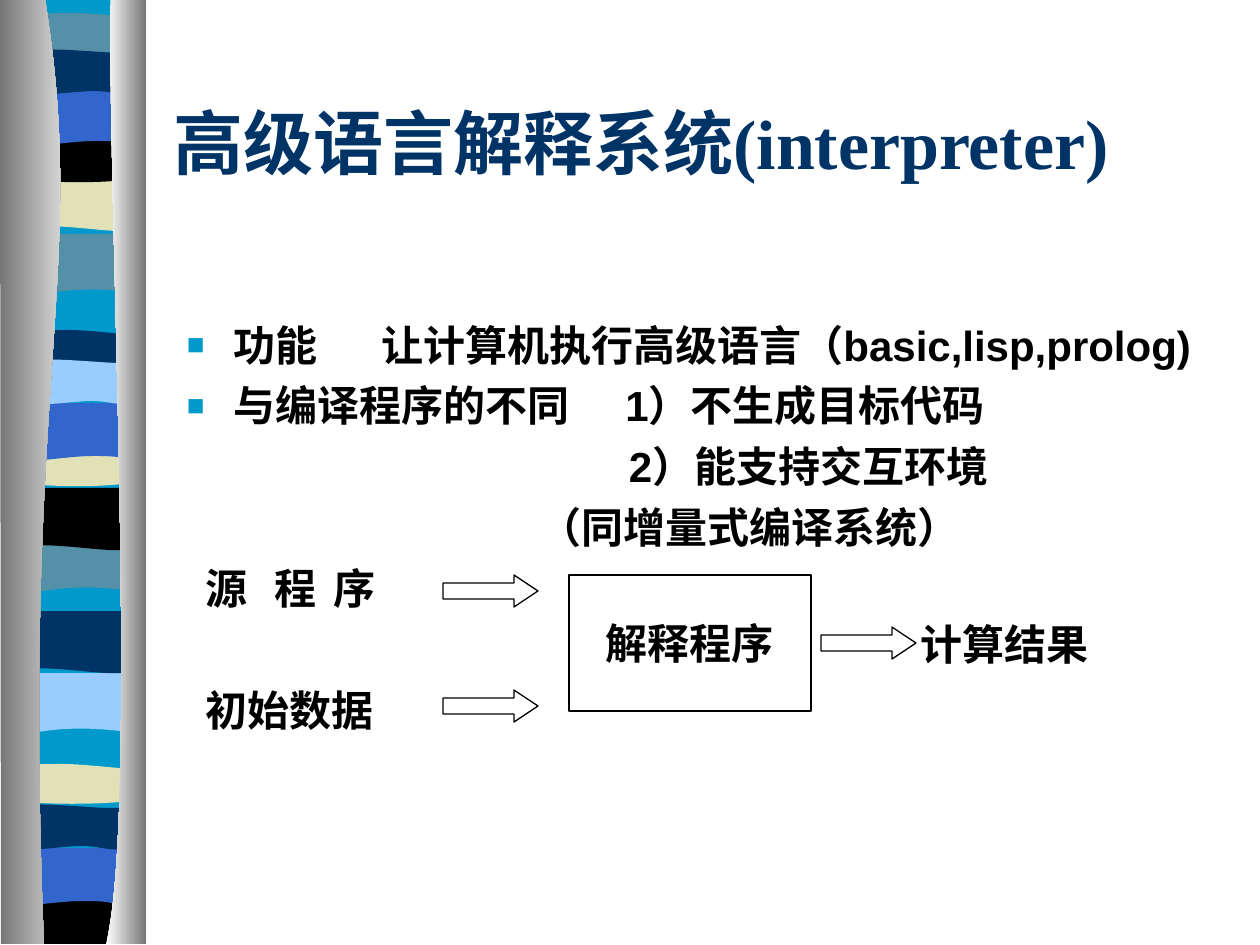
from dataclasses import dataclass

from lxml import etree
from pptx import Presentation
from pptx.dml.color import RGBColor
from pptx.enum.shapes import MSO_SHAPE
from pptx.enum.text import MSO_ANCHOR, PP_ALIGN
from pptx.oxml.ns import qn
from pptx.util import Emu, Pt

RECT, ARROW = MSO_SHAPE.RECTANGLE, MSO_SHAPE.RIGHT_ARROW
TOP, MIDDLE = MSO_ANCHOR.TOP, MSO_ANCHOR.MIDDLE
LEFT, CENTER = PP_ALIGN.LEFT, PP_ALIGN.CENTER
SCALE = 914400 / 126
SPACE = 12


@dataclass(frozen=True)
class Theme:
    """Colours, fonts and type sizes of the slide."""
    navy: str = "003366"
    sky: str = "0099CC"
    teal: str = "5490A8"
    cream: str = "E1E1B7"
    blue: str = "3366CC"
    pale: str = "99CCFF"
    black: str = "000000"
    white: str = "FFFFFF"
    grey: str = "767676"
    serif: str = "Times New Roman"
    sans: str = "Arial"
    title: int = 40
    body: int = 24


T = Theme()

FLAT = ((0, 0), (122, 0))
SWELL = ((0, 0), (76, 6), (97, 0), (122, 0))
PROFILES = {
    "dip": (FLAT, ((122, 59), (38, 48), (20, 68), (0, 59))),
    "roll": (FLAT, ((122, 59), (102, 69), (43, 52), (0, 59))),
    "lens": (((0, 5), (9, 0), (32, 0), (53, 0), (73, 0), (112, 5), (122, 5)),
             ((122, 36), (102, 41), (20, 41), (0, 36))),
    "swell": (SWELL, ((122, 41), (102, 48), (20, 48), (0, 41))),
    "arch": (FLAT, ((122, 59), (103, 53), (95, 53), (76, 53),
                    (56, 53), (19, 59), (0, 59))),
    "crest": (((0, 8), (18, 0), (83, 8), (103, 8), (124, 8), (118, 8), (122, 8)),
              ((122, 46), (114, 54), (95, 46), (76, 46),
               (56, 46), (12, 54), (0, 46))),
    "foot": (SWELL, ((122, 47), (0, 47))),
}
BANDS = (
    (18, 234, "dip", T.teal), (23, 169, "roll", T.cream),
    (23, 13, "lens", T.teal), (18, 136, "swell", T.black),
    (18, 88, "arch", T.blue), (18, 45, "crest", T.navy),
    (11, 532, "dip", T.teal), (16, 488, "roll", T.black),
    (16, 330, "lens", T.navy), (16, 440, "swell", T.cream),
    (16, 403, "arch", T.blue), (16, 355, "crest", T.pale),
    (6, 673, "dip", T.pale), (13, 611, "roll", T.navy),
    (11, 764, "lens", T.cream), (11, 897, "foot", T.black),
    (5, 848, "arch", T.blue), (6, 800, "crest", T.navy),
)
LEFT_CURTAIN = (((45, -1), (89, 272), (21, 373), (44, 944)), ((1, 944), (0, -1)))
RIGHT_CURTAIN = (((111, -1), (106, 158), (140, 814), (106, 944)),
                 ((146, 944), (146, -1)))


def px(n):
    """Turn px into EMU."""
    return Emu(round(n * SCALE))


def rgb(color):
    """Turn a hex string into a colour."""
    return RGBColor.from_string(color)


def add_outline(s, edges, x, y, *colors):
    """Add an outline of straight two-point and cubic edges, plain or gradient."""
    pts = [(px(x + a), px(y + b)) for edge in edges for a, b in edge]
    fb = s.shapes.build_freeform(*pts[0], scale=1.0)
    fb.add_line_segments(pts[1:], close=True)
    sp = fb.convert_to_shape()
    lines = list(sp._element.iter(qn("a:lnTo")))
    start = 0
    for edge in edges:
        for i in range(start, start + len(edge) - 1, 3) if len(edge) > 2 else ():
            lines[i].tag = qn("a:cubicBezTo")
            for ln in lines[i + 1:i + 3]:
                lines[i].append(ln[0])
                ln.getparent().remove(ln)
        start += len(edge)
    sp.shadow.inherit = False
    sp.line.fill.background()
    if len(colors) == 1:
        sp.fill.solid()
        sp.fill.fore_color.rgb = rgb(colors[0])
        return
    sp.fill.gradient()
    sp.fill.gradient_angle = 0
    for stop, color in zip(sp.fill.gradient_stops, colors):
        stop.color.rgb = rgb(color)


def add_shape(s, kind, x, y, w, h, line=T.black):
    """Add a white preset shape with a thin outline."""
    sp = s.shapes.add_shape(kind, px(x), px(y), px(w), px(h))
    sp.shadow.inherit = False
    sp.fill.solid()
    sp.fill.fore_color.rgb = rgb(T.white)
    sp.line.color.rgb = rgb(line)
    sp.line.width = Pt(0.75)
    return sp


def add_box(s, x, y, w, h, anchor=TOP):
    """Add a wrapping text box without insets and return its frame."""
    tf = s.shapes.add_textbox(px(x), px(y), px(w), px(h)).text_frame
    tf.word_wrap = True
    tf.vertical_anchor = anchor
    tf.margin_left = tf.margin_right = tf.margin_top = tf.margin_bottom = 0
    return tf


def add_text(tf, *parts, font=T.sans, size=T.body, color=T.black, align=LEFT,
             indent=0, before=0, bullet=False):
    """Write one bold paragraph; a number among the parts is a gap in px."""
    p = tf.paragraphs[0] if not tf.paragraphs[0].runs else tf.add_paragraph()
    p.alignment = align
    p.space_before = Pt(before)
    pPr = p._p.get_or_add_pPr()
    pPr.set("marL", str(px(indent)))
    pPr.set("indent", str(-px(indent) if bullet else 0))
    if bullet:
        clr = etree.SubElement(pPr, qn("a:buClr"))
        etree.SubElement(clr, qn("a:srgbClr"), val=T.sky)
        etree.SubElement(pPr, qn("a:buSzPct"), val="70000")
        etree.SubElement(pPr, qn("a:buFont"), typeface=T.sans)
        etree.SubElement(pPr, qn("a:buChar"), char="■")
    for part in parts:
        r = p.add_run()
        r.font.name, r.font.size, r.font.bold = font, Pt(size), True
        r.font.color.rgb = rgb(color)
        if isinstance(part, str):
            r.text = part
        else:
            r.text = " "
            spacing = round(px(part - SPACE).pt * 100)
            r._r.get_or_add_rPr().set("spc", str(spacing))


def add_ribbon(s, x, y):
    """Draw the striped ribbon between its two shaded curtains."""
    add_outline(s, (((18, -1), (140, -1)), ((140, 940), (18, 940))), x, y, T.sky)
    for left, top, profile, color in BANDS:
        add_outline(s, PROFILES[profile], x + left, y + top, color)
    add_outline(s, LEFT_CURTAIN, x, y, T.grey, T.white)
    add_outline(s, RIGHT_CURTAIN, x, y, T.white, T.grey)


def add_title(s, x, y, w, h):
    """Write the slide title."""
    tf = add_box(s, x, y, w, h, anchor=MIDDLE)
    add_text(tf, "高级语言解释系统(interpreter)", font=T.serif, size=T.title, color=T.navy)


def add_body(s, x, y, w, h):
    """Write the two topics with their details and the names of the inputs."""
    tf = add_box(s, x, y, w, h)
    for parts in (("功能", 66, "让计算机执行高级语言（basic,lisp,prolog)"),
                  ("与编译程序的不同", 58, "1）不生成目标代码")):
        add_text(tf, *parts, indent=47, before=6, bullet=True)
    for parts, indent, before in ((("2）能支持交互环境",), 442, 6),
                                  (("（同增量式编译系统）",), 353, 6),
                                  (("源", 29, "程", 19, "序"), 19, 6),
                                  (("初始数据",), 19, 41)):
        add_text(tf, *parts, indent=indent, before=before)


def add_flow(s, x, y):
    """Draw the interpreter, its result and the arrows between."""
    for text, left, top, w, h, line in (
            ("解释程序", 126, 0, 242, 136, T.black),
            ("计算结果", 483, 42, 158, 53, T.white)):
        tf = add_shape(s, RECT, x + left, y + top, w, h, line=line).text_frame
        tf.word_wrap = False
        tf.vertical_anchor = MIDDLE
        add_text(tf, text, font=T.serif, align=CENTER)
    for left, top in ((0, 0), (0, 115), (378, 52)):
        sp = add_shape(s, ARROW, x + left, y + top, 95, 32)
        sp.adjustments[0], sp.adjustments[1] = 0.5, 0.75


def main():
    """Build and save the slide."""
    prs = Presentation()
    prs.slide_width, prs.slide_height = px(1260), px(945)
    s = prs.slides.add_slide(prs.slide_layouts[6])
    add_ribbon(s, 0, 0)
    add_title(s, 174, 62, 1046, 158)
    add_body(s, 187, 319, 1058, 560)
    add_flow(s, 443, 575)
    prs.save("out.pptx")


if __name__ == "__main__":
    main()
